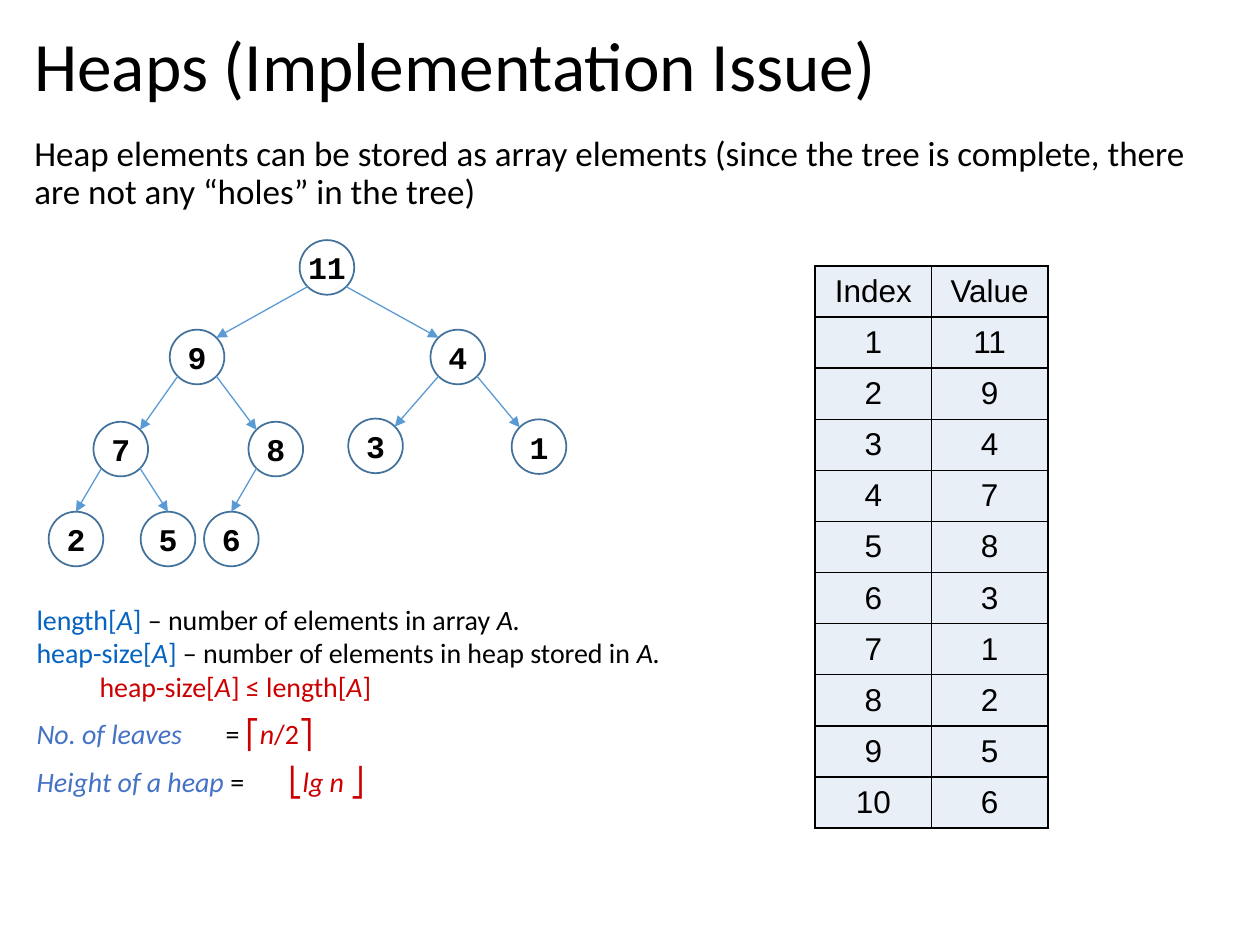
from dataclasses import dataclass
import math

import pptx
import pptx.dml.color
import pptx.enum.shapes
import pptx.enum.text
import pptx.oxml.ns
import pptx.util
from lxml import etree

Pt = pptx.util.Pt
MSO_ANCHOR = pptx.enum.text.MSO_ANCHOR
PP_ALIGN = pptx.enum.text.PP_ALIGN
qn = pptx.oxml.ns.qn


@dataclass(frozen=True)
class Theme:
    text_font: str = "Calibri"
    node_font: str = "Courier New"
    table_font: str = "Arial"
    black: str = "000000"
    term: str = "0563C1"
    formula: str = "CC0000"
    label: str = "4472C4"
    node_line: str = "42719B"
    edge: str = "5B9BD5"
    cell: str = "E9EFF7"
    title_size: float = 39.6
    body_size: float = 20
    note_size: float = 16
    item_size: float = 18


THEME = Theme()
NODE_SIZE = 31.2

# Heap values in array order, each with the left and top of its node.
HEAP = [
    (11, 171.2, 137.2),
    (9, 97, 188.4), (4, 246, 188.4),
    (7, 53.4, 241), (8, 142, 241), (3, 199, 239.2), (1, 292.4, 239.6),
    (2, 27.8, 292.4), (5, 80.4, 292.4), (6, 116.6, 292.4),
]

# Each note: (level, space before, tab stop, runs of (text, colour, italic)).
NOTES = [
    (0, 0, None, [("length[", THEME.term, False), ("A", THEME.term, True),
                  ("]", THEME.term, False),
                  (" – number of elements in array ", THEME.black, False),
                  ("A.", THEME.black, True)]),
    (0, 0, None, [("heap-size[", THEME.term, False), ("A", THEME.term, True),
                  ("]", THEME.term, False),
                  (" – number of elements in heap stored in ", THEME.black, False),
                  ("A.", THEME.black, True)]),
    (1, 0, None, [("heap-size[", THEME.formula, False), ("A", THEME.formula, True),
                  ("] ≤ length[", THEME.formula, False),
                  ("A", THEME.formula, True), ("]", THEME.formula, False)]),
    (0, 8, 98, [("No. of leaves\t", THEME.label, True), ("= ", THEME.black, False),
                ("⎡", THEME.formula, False), ("n", THEME.formula, True),
                ("/2⎤", THEME.formula, False)]),
    (0, 8, 126, [("Height of a heap ", THEME.label, True),
                 ("=\t", THEME.black, False), ("⎣", THEME.formula, False),
                 ("lg n", THEME.formula, True), (" ⎦", THEME.formula, False)]),
]


def rgb(value):
    return pptx.dml.color.RGBColor.from_string(value)


def add_span(para, text, font, size, color=THEME.black, bold=False, italic=False):
    span = para.add_run()
    span.text = text
    span.font.name = font
    span.font.size = Pt(size)
    span.font.color.rgb = rgb(color)
    span.font.bold = bold
    span.font.italic = italic


def set_indent(para, left, tab=None):
    """Set the left margin without bullet, and one tab stop if given."""
    properties = para._p.get_or_add_pPr()
    properties.set("marL", str(Pt(left)))
    properties.set("indent", "0")
    etree.SubElement(properties, qn("a:buNone"))
    if tab:
        stops = etree.SubElement(properties, qn("a:tabLst"))
        etree.SubElement(stops, qn("a:tab"), pos=str(Pt(tab)), algn="l")


def fill_placeholder(box, top, height, text, size, anchor):
    box.left, box.top, box.width, box.height = Pt(12.4), Pt(top), Pt(692.6), Pt(height)
    frame = box.text_frame
    frame.word_wrap = True
    frame.auto_size = pptx.enum.text.MSO_AUTO_SIZE.NONE
    frame.vertical_anchor = anchor
    para = frame.paragraphs[0]
    para.alignment = PP_ALIGN.LEFT
    para.line_spacing = 0.9
    para.space_before = Pt(0)
    set_indent(para, 0)
    add_span(para, text, THEME.text_font, size)


def add_node(shapes, value, left, top):
    node = shapes.add_shape(pptx.enum.shapes.MSO_SHAPE.OVAL, Pt(left), Pt(top),
                            Pt(NODE_SIZE), Pt(NODE_SIZE))
    node.shadow.inherit = False
    node.fill.background()
    node.line.color.rgb = rgb(THEME.node_line)
    node.line.width = Pt(1)
    frame = node.text_frame
    frame.margin_left = frame.margin_right = frame.margin_top = frame.margin_bottom = 0
    frame.word_wrap = False
    frame.vertical_anchor = MSO_ANCHOR.MIDDLE
    para = frame.paragraphs[0]
    para.alignment = PP_ALIGN.CENTER
    add_span(para, str(value), THEME.node_font, THEME.item_size, bold=True)


def rim_point(left, top, angle):
    """Point on a node's outline, with the angle clockwise from the right."""
    radius = NODE_SIZE / 2
    turn = math.radians(angle)
    return (Pt(left + radius + radius * math.cos(turn)),
            Pt(top + radius + radius * math.sin(turn)))


def add_arrow(shapes, start, end):
    arrow = shapes.add_connector(pptx.enum.shapes.MSO_CONNECTOR.STRAIGHT, *start, *end)
    arrow.line.color.rgb = rgb(THEME.edge)
    arrow.line.width = Pt(0.75)
    etree.SubElement(arrow.line._get_or_add_ln(), qn("a:tailEnd"), type="triangle")
    etree.SubElement(arrow._element.spPr, qn("a:effectLst"))


def add_heap_tree(slide):
    shapes = slide.shapes.add_group_shape().shapes
    for value, left, top in HEAP:
        add_node(shapes, value, left, top)
    for index in range(2, len(HEAP) + 1):
        is_left = index % 2 == 0
        start = rim_point(*HEAP[index // 2 - 1][1:], 135 if is_left else 45)
        facing = -45 if is_left else -135
        end = rim_point(*HEAP[index - 1][1:], -90 if index >= 8 else facing)
        add_arrow(shapes, start, end)


def add_notes(slide):
    frame = slide.shapes.add_textbox(Pt(13.8), Pt(340.6), Pt(432.8), Pt(143.4)).text_frame
    frame.word_wrap = True
    for number, (level, before, tab, runs) in enumerate(NOTES):
        para = frame.add_paragraph() if number else frame.paragraphs[0]
        para.level = level
        para.space_before = Pt(before)
        set_indent(para, 36 * level, tab)
        for text, color, italic in runs:
            add_span(para, text, THEME.text_font, THEME.note_size, color, italic=italic)


def style_cell(cell, text):
    cell.fill.solid()
    cell.fill.fore_color.rgb = rgb(THEME.cell)
    cell.vertical_anchor = MSO_ANCHOR.MIDDLE
    para = cell.text_frame.paragraphs[0]
    para.alignment = PP_ALIGN.CENTER
    add_span(para, text, THEME.table_font, THEME.item_size)
    properties = cell._tc.get_or_add_tcPr()
    for position, side in enumerate(("lnL", "lnR", "lnT", "lnB")):
        border = etree.Element(qn(f"a:{side}"), w=str(Pt(1)))
        fill = etree.SubElement(border, qn("a:solidFill"))
        etree.SubElement(fill, qn("a:srgbClr"), val=THEME.black)
        properties.insert(position, border)


def add_array_table(slide):
    rows = [("Index", "Value")]
    rows += [(str(index), str(node[0])) for index, node in enumerate(HEAP, 1)]
    column_width, row_height = 66.5, 29.2
    table = slide.shapes.add_table(len(rows), 2, Pt(465.8), Pt(152), Pt(2 * column_width),
                                   Pt(len(rows) * row_height)).table
    for column in table.columns:
        column.width = Pt(column_width)
    for row, texts in zip(table.rows, rows):
        row.height = Pt(row_height)
        for cell, text in zip(row.cells, texts):
            style_cell(cell, text)


def main():
    deck = pptx.Presentation()
    deck.slide_width, deck.slide_height = Pt(720), Pt(540)
    page = deck.slides.add_slide(deck.slide_layouts[1])
    fill_placeholder(page.shapes.title, 13, 53.2, "Heaps (Implementation Issue)",
                     THEME.title_size, MSO_ANCHOR.MIDDLE)
    fill_placeholder(page.placeholders[1], 74.2, 412.6,
                     "Heap elements can be stored as array elements (since the tree is "
                     "complete, there are not any “holes” in the tree)",
                     THEME.body_size, MSO_ANCHOR.TOP)
    add_heap_tree(page)
    add_notes(page)
    add_array_table(page)
    deck.save("out.pptx")


if __name__ == "__main__":
    main()
